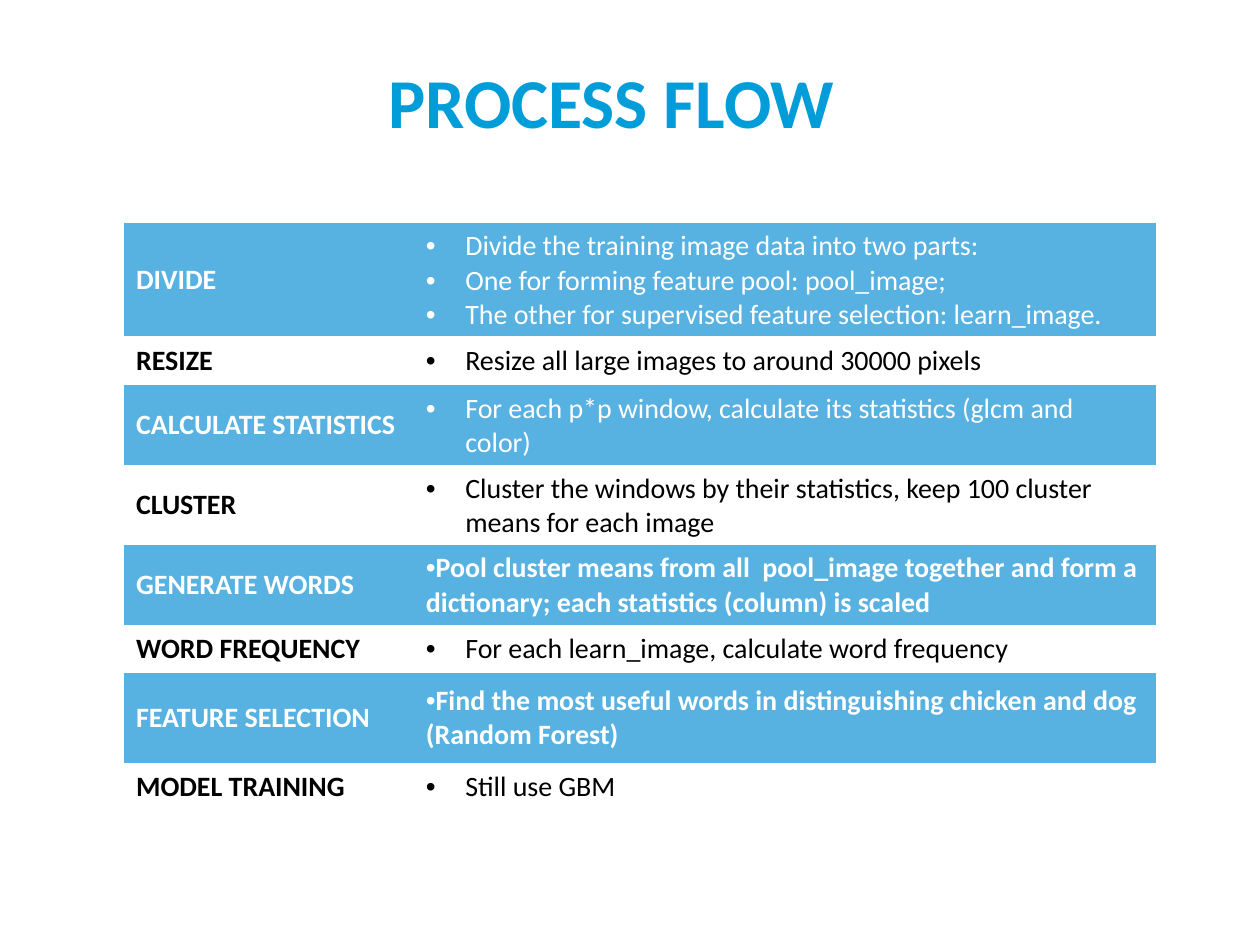
from dataclasses import dataclass

from lxml.etree import SubElement
from pptx import Presentation
from pptx.dml.color import RGBColor
from pptx.enum.text import MSO_ANCHOR as Anchor, PP_ALIGN as Align
from pptx.oxml.ns import qn
from pptx.util import Pt

FONT = "Calibri"
TITLE_BLUE = RGBColor(0x00, 0x9D, 0xD9)
ROW_BLUE = RGBColor(0x57, 0xB1, 0xE1)
WHITE = RGBColor(0xFF, 0xFF, 0xFF)
BLACK = RGBColor(0x00, 0x00, 0x00)

NO_STYLE_NO_GRID = "{2D5ABB26-0587-4C30-8999-92F81FD0307C}"
COLUMN_WIDTHS = (Pt(165.6), Pt(424.1))
BULLET_INDENT = Pt(22.5)


@dataclass(frozen=True)
class Step:
    name: str
    details: tuple[str, ...]
    height: float
    emphasized: bool = False


STEPS = (
    Step("DIVIDE", (
        "Divide the training image data into two parts:",
        "One for forming feature pool: pool_image;",
        "The other for supervised feature selection: learn_image.",
    ), 57.6),
    Step("RESIZE", ("Resize all large images to around 30000 pixels",), 28),
    Step("CALCULATE STATISTICS", (
        "For each p*p window, calculate its statistics (glcm and color)",
    ), 27.4),
    Step("CLUSTER", (
        "Cluster the windows by their statistics, keep 100 cluster means for each image",
    ), 40.3),
    Step("GENERATE WORDS", (
        "Pool cluster means from all  pool_image together and form a dictionary; "
        "each statistics (column) is scaled",
    ), 40.3, emphasized=True),
    Step("WORD FREQUENCY", ("For each learn_image, calculate word frequency",), 27.4),
    Step("FEATURE SELECTION", (
        "Find the most useful words in distinguishing chicken and dog (Random Forest)",
    ), 51.5, emphasized=True),
    Step("MODEL TRAINING", ("Still use GBM",), 27.4),
)


def add_run(paragraph, text: str, size: float, color: RGBColor, bold: bool) -> None:
    run = paragraph.add_run()
    run.text = text
    run.font.name = FONT
    run.font.size = Pt(size)
    run.font.bold = bold
    run.font.color.rgb = color


def add_bullet(paragraph, left_margin: int) -> None:
    properties = paragraph._p.get_or_add_pPr()
    properties.set("marL", str(left_margin))
    properties.set("indent", str(-BULLET_INDENT))
    SubElement(properties, qn("a:buFont"), typeface="Arial")
    SubElement(properties, qn("a:buChar"), char="•")


def add_title(slide, text: str) -> None:
    box = slide.shapes.add_textbox(Pt(25.2), Pt(31.7), Pt(648), Pt(51.1))
    frame = box.text_frame
    frame.word_wrap = True
    frame.margin_top = frame.margin_bottom = 0
    frame.vertical_anchor = Anchor.MIDDLE
    paragraph = frame.paragraphs[0]
    paragraph.alignment = Align.CENTER
    add_run(paragraph, text, 40, TITLE_BLUE, bold=True)


def fill_row(table, index: int, step: Step) -> None:
    """Write one step; every other row is blue with white text."""
    is_blue = index % 2 == 0
    color = WHITE if is_blue else BLACK
    table.rows[index].height = Pt(step.height)
    name_cell, detail_cell = table.rows[index].cells
    for cell in (name_cell, detail_cell):
        cell.vertical_anchor = Anchor.MIDDLE
        if is_blue:
            cell.fill.solid()
            cell.fill.fore_color.rgb = ROW_BLUE
        else:
            cell.fill.background()

    add_run(name_cell.text_frame.paragraphs[0], step.name, 16, color, bold=True)
    frame = detail_cell.text_frame
    for number, detail in enumerate(step.details):
        paragraph = frame.add_paragraph() if number else frame.paragraphs[0]
        add_bullet(paragraph, 0 if step.emphasized else BULLET_INDENT)
        add_run(paragraph, detail, 16, color, bold=step.emphasized)


def add_steps_table(slide, steps: tuple[Step, ...]) -> None:
    height = Pt(sum(step.height for step in steps))
    table = slide.shapes.add_table(
        len(steps), len(COLUMN_WIDTHS), Pt(70.6), Pt(127.4), sum(COLUMN_WIDTHS), height
    ).table
    table.first_row = table.horz_banding = False
    table._tbl.tblPr.find(qn("a:tableStyleId")).text = NO_STYLE_NO_GRID
    for column, width in zip(table.columns, COLUMN_WIDTHS):
        column.width = width
    for index, step in enumerate(steps):
        fill_row(table, index, step)


def main() -> None:
    presentation = Presentation()
    presentation.slide_width, presentation.slide_height = Pt(720), Pt(540)
    slide = presentation.slides.add_slide(presentation.slide_layouts[6])
    add_title(slide, "PROCESS FLOW")
    add_steps_table(slide, STEPS)
    presentation.save("out.pptx")


if __name__ == "__main__":
    main()
